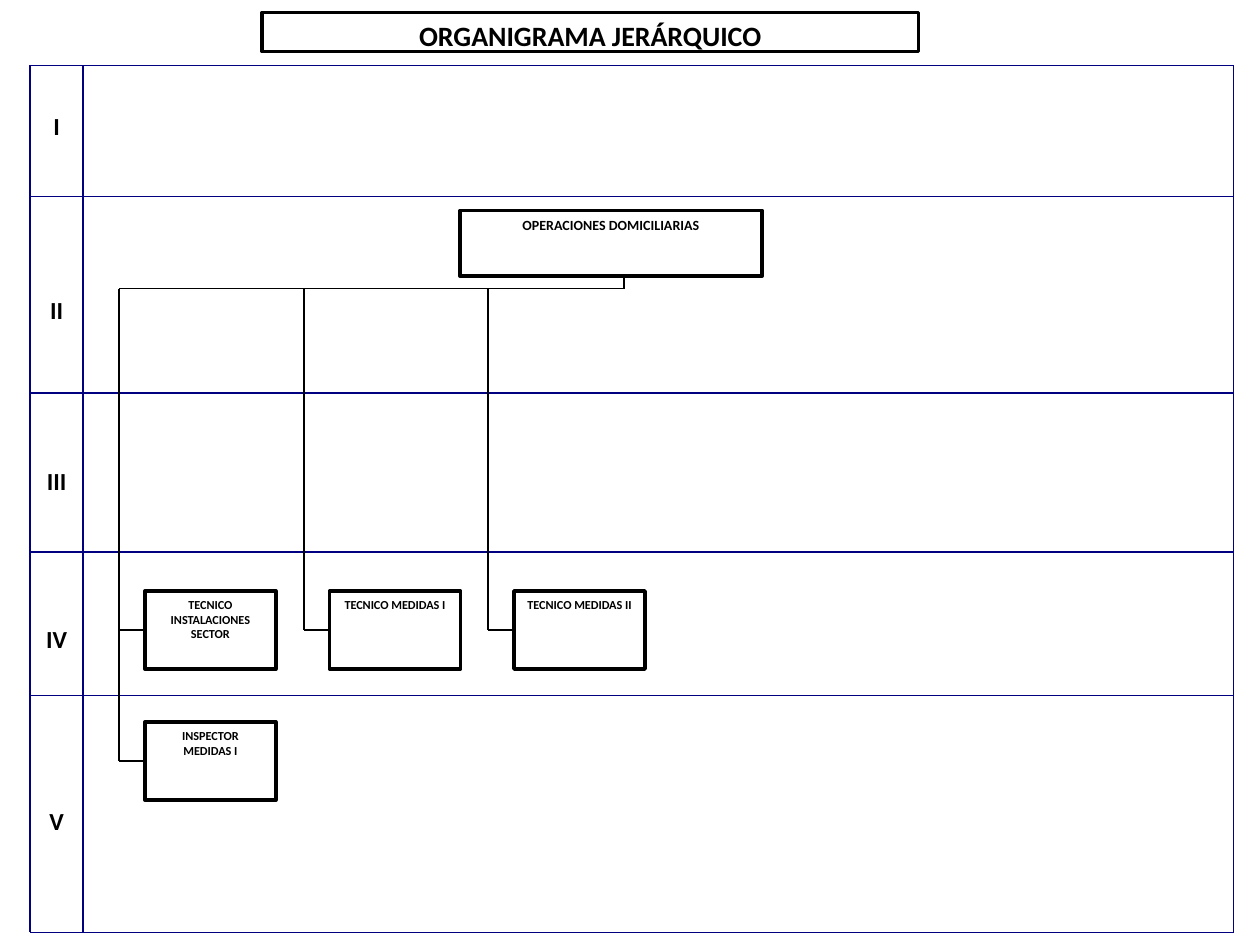
"""Build the hierarchical organisation chart slide."""
import pptx
import pptx.dml.color
import pptx.enum.shapes
import pptx.enum.text
import pptx.oxml.ns
import pptx.util
from lxml import etree

Inches = pptx.util.Inches
Pt = pptx.util.Pt
BLACK = pptx.dml.color.RGBColor(0x00, 0x00, 0x00)
NAVY = pptx.dml.color.RGBColor(0x00, 0x00, 0x80)

GRID_LEFT, LABEL_RIGHT, GRID_RIGHT = 0.24, 0.66, 9.79
ROW_EDGES = [0.52, 1.56, 3.12, 4.38, 5.52, 7.4]
LEVELS = [("I", 0.83), ("II", 2.29), ("III", 3.65), ("IV", 4.9), ("V", 6.35)]

BUS_X, BUS_Y = 4.95, 2.29
BOX_W, BOX_H = 1.04, 0.62
FIRST_BOX_X, BOX_STEP, STUB = 1.15, 1.465, 0.205
POSITIONS = [
    ("TECNICO INSTALACIONES SECTOR", 0, 4.69),
    ("TECNICO MEDIDAS I", 1, 4.69),
    ("TECNICO MEDIDAS II", 2, 4.69),
    ("INSPECTOR MEDIDAS I", 0, 5.73),
]


def write(s, text, size):
    tf = s.text_frame
    tf.word_wrap = True
    tf.auto_size = pptx.enum.text.MSO_AUTO_SIZE.NONE
    tf.vertical_anchor = pptx.enum.text.MSO_ANCHOR.TOP
    tf.text = text
    p = tf.paragraphs[0]
    p.alignment = pptx.enum.text.PP_ALIGN.CENTER
    font = p.runs[0].font
    font.name = "Calibri"
    font.size = Pt(size)
    font.bold = True
    font.color.rgb = BLACK


def outline(s):
    s.fill.background()
    s.line.color.rgb = BLACK
    s.line.width = Pt(2)


def add_title(slide, text):
    s = slide.shapes.title
    s.left, s.top = Inches(2.08), Inches(0.1)
    s.width, s.height = Inches(5.21), Inches(0.31)
    outline(s)
    write(s, text, 16)


def add_box(slide, x, y, w, h, text, size):
    s = slide.shapes.add_shape(
        pptx.enum.shapes.MSO_SHAPE.RECTANGLE, Inches(x), Inches(y), Inches(w), Inches(h))
    s.shadow.inherit = False
    outline(s)
    write(s, text, size)
    return s


def add_label(slide, y, text):
    s = slide.shapes.add_textbox(
        Inches(GRID_LEFT), Inches(y), Inches(LABEL_RIGHT - GRID_LEFT), Inches(0.31))
    write(s, text, 14)


def add_line(slide, x1, y1, x2, y2, color=BLACK):
    s = slide.shapes.add_connector(
        pptx.enum.shapes.MSO_CONNECTOR.STRAIGHT,
        Inches(x1), Inches(y1), Inches(x2), Inches(y2))
    s.line.color.rgb = color
    s.line.width = Pt(1)
    etree.SubElement(s._element.spPr, pptx.oxml.ns.qn("a:effectLst"))
    return s


def add_grid(slide):
    for y in ROW_EDGES:
        add_line(slide, GRID_LEFT, y, GRID_RIGHT, y, NAVY)
    for x in (GRID_LEFT, LABEL_RIGHT, GRID_RIGHT):
        add_line(slide, x, ROW_EDGES[0], x, ROW_EDGES[-1], NAVY)
    for text, y in LEVELS:
        add_label(slide, y, text)


def add_position(slide, text, column, y):
    x = FIRST_BOX_X + column * BOX_STEP
    middle = y + BOX_H / 2
    box = add_box(slide, x, y, BOX_W, BOX_H, text, 7)
    stub = add_line(slide, x - STUB, middle, x, middle)
    stub.end_connect(box, 1)
    add_line(slide, x - STUB, BUS_Y, x - STUB, middle)


def main():
    prs = pptx.Presentation()
    prs.slide_width, prs.slide_height = Inches(10), Inches(7.5)
    slide = prs.slides.add_slide(prs.slide_layouts.get_by_name("Title Only"))
    add_title(slide, "ORGANIGRAMA JERÁRQUICO")
    add_grid(slide)
    add_box(slide, 3.65, 1.67, 2.4, 0.52, "OPERACIONES DOMICILIARIAS", 8)
    add_line(slide, BUS_X, 2.19, BUS_X, BUS_Y)
    add_line(slide, FIRST_BOX_X - STUB, BUS_Y, BUS_X, BUS_Y)
    for text, column, y in POSITIONS:
        add_position(slide, text, column, y)
    prs.save("out.pptx")


if __name__ == "__main__":
    main()
